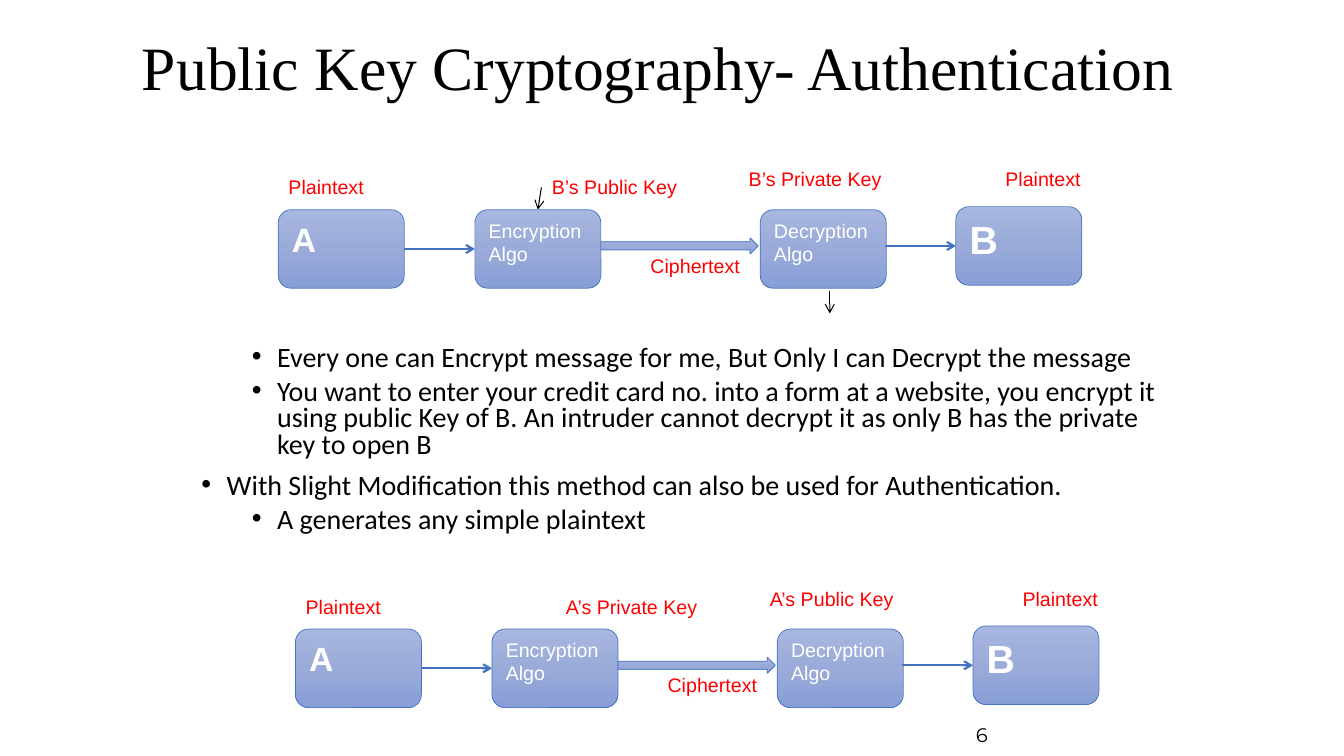
from copy import deepcopy

from pptx import Presentation
from pptx.dml.color import RGBColor
from pptx.enum.shapes import MSO_CONNECTOR, MSO_SHAPE
from pptx.enum.text import MSO_ANCHOR, MSO_AUTO_SIZE, PP_ALIGN
from pptx.oxml.ns import qn
from pptx.util import Pt
from lxml import etree

ROUND, ARROW = MSO_SHAPE.ROUNDED_RECTANGLE, MSO_SHAPE.RIGHT_ARROW
STRAIGHT = MSO_CONNECTOR.STRAIGHT
TOP, MIDDLE = MSO_ANCHOR.TOP, MSO_ANCHOR.MIDDLE
LEFT, CENTER = PP_ALIGN.LEFT, PP_ALIGN.CENTER
GROW = MSO_AUTO_SIZE.SHAPE_TO_FIT_TEXT

SCALE = 9144  # EMU in one px, 100 px to the inch
BOX_W, BOX_H = 125, 78
BLACK, WHITE, RED, BLUE = "000000", "FFFFFF", "FF0000", "4472C4"
SHADES = [(0, "A8B7DF"), (0.5, "9AABD9"), (1, "889ED7")]

POINTS = [
    (1, "Every one can Encrypt message for me, But Only I can Decrypt the message"),
    (1, "You want to enter your credit card no. into a form at a website, "
        "you encrypt it using public Key of B. An intruder cannot decrypt it "
        "as only B has the private key to open B"),
    (0, "With Slight Modification this method can also be used for Authentication."),
    (1, "A generates any simple plaintext"),
]


def px(*values):
    return [value * SCALE for value in values]


def color(code):
    return RGBColor.from_string(code)


class Deck:
    def __init__(self, width, height):
        self.file = Presentation()
        self.file.slide_width, self.file.slide_height = px(width, height)
        self.slide = self.file.slides.add_slide(self.file.slide_layouts[6])
        self.shapes = self.slide.shapes

    def style(self, frame, size, font, code, bold=False, align=LEFT):
        for par in frame.paragraphs:
            par.alignment = align
            for run in par.runs:
                run.font.size, run.font.name = Pt(size), font
                run.font.bold, run.font.color.rgb = bold, color(code)

    def text(self, words, place, size, font, anchor=MIDDLE):
        frame = self.shapes.add_textbox(*px(*place)).text_frame
        frame.word_wrap, frame.vertical_anchor = True, anchor
        frame.text = words
        self.style(frame, size, font, BLACK)
        return frame

    def label(self, words, mid, y, width):
        """Put a red label with its centre at mid."""
        frame = self.shapes.add_textbox(*px(mid - width // 2, y, width, 34)).text_frame
        frame.text = words
        frame.word_wrap, frame.auto_size = False, GROW
        self.style(frame, 14, "Arial", RED, align=CENTER)

    def bullets(self, points, place, size):
        words = "\n".join(line for _, line in points)
        frame = self.text(words, place, size, "Calibri", TOP)
        for par, (level, _) in zip(frame.paragraphs, points):
            par.level, par.line_spacing = level, 0.8
            par.space_before = Pt(5 if level else 10)
            props = par._p.get_or_add_pPr()
            margin, hang = px(25 + 50 * level, -25)
            props.set("marL", str(margin))
            props.set("indent", str(hang))
            etree.SubElement(props, qn("a:buFont")).set("typeface", "Arial")
            etree.SubElement(props, qn("a:buChar")).set("char", "•")

    def shade(self, kind, place):
        """Add a shape with the blue gradient."""
        shape = self.shapes.add_shape(kind, *px(*place))
        shape.shadow.inherit = False
        shape.line.color.rgb, shape.line.width = color(BLUE), Pt(0.5)
        shape.fill.gradient()
        shape.fill.gradient_angle = 270
        stops = shape._element.spPr.find(".//" + qn("a:gsLst"))
        stops.insert(1, deepcopy(stops[0]))
        for stop, (spot, code) in zip(shape.fill.gradient_stops, SHADES):
            stop.position, stop.color.rgb = spot, color(code)
        return shape

    def box(self, words, x, y, size, bold=False):
        shape = self.shade(ROUND, (x, y, BOX_W, BOX_H))
        frame = shape.text_frame
        frame.text, frame.vertical_anchor = words, TOP
        self.style(frame, size, "Arial", WHITE, bold)
        return shape

    def arrow(self, ends, code, width, start=None, stop=None):
        """Draw an arrow; start and stop are (shape, side) to join."""
        link = self.shapes.add_connector(STRAIGHT, *px(*ends))
        if start:
            link.begin_connect(*start)
        if stop:
            link.end_connect(*stop)
        link.line.color.rgb, link.line.width = color(code), Pt(width)
        line = link.line._get_or_add_ln()
        etree.SubElement(line, qn("a:tailEnd")).set("type", "arrow")
        etree.SubElement(link._element.spPr, qn("a:effectLst"))

    def flow(self, x, y, lock, unlock):
        """Draw one A to B row; lock and unlock are (words, width) of the keys."""
        sender = self.box("A", x, y, 24, True)
        coder = self.box("Encryption\nAlgo", x + 195, y, 14)
        self.box("Decryption\nAlgo", x + 478, y, 14)
        target = self.box("B", x + 672, y - 3, 28, True)
        self.shade(ARROW, (x + 320, y + 28, 156, 16))
        self.arrow((x + 125, y + 39, x + 195, y + 39), BLUE, 1.5,
                   (sender, 3), (coder, 1))
        self.arrow((x + 602, y + 36, x + 672, y + 36), BLUE, 1.5, stop=(target, 1))
        self.label("Plaintext", x + 47, y - 39, 95)
        self.label(lock[0], x + 333, y - 39, lock[1])
        self.label("Ciphertext", x + 413, y + 39, 109)
        self.label(unlock[0], x + 532, y - 47, unlock[1])
        self.label("Plaintext", x + 758, y - 47, 95)
        return coder


def main():
    deck = Deck(1333, 750)
    deck.text("6", (958, 708, 208, 42), 14, "Montserrat")
    title = deck.text("Public Key Cryptography- Authentication",
                      (131, 31, 1072, 78), 44, "Times New Roman")
    title.paragraphs[0].line_spacing = 0.9
    deck.bullets(POINTS, (190, 338, 977, 362), 20)

    coder = deck.flow(276, 208, ("B’s Public Key", 145), ("B’s Private Key", 153))
    deck.arrow((537, 186, 534, 208), BLACK, 0.75, stop=(coder, 0))
    deck.arrow((823, 289, 823, 311), BLACK, 0.75)
    deck.flow(293, 624, ("A’s Private Key", 151), ("A’s Public Key", 144))
    deck.file.save("out.pptx")


if __name__ == "__main__":
    main()
